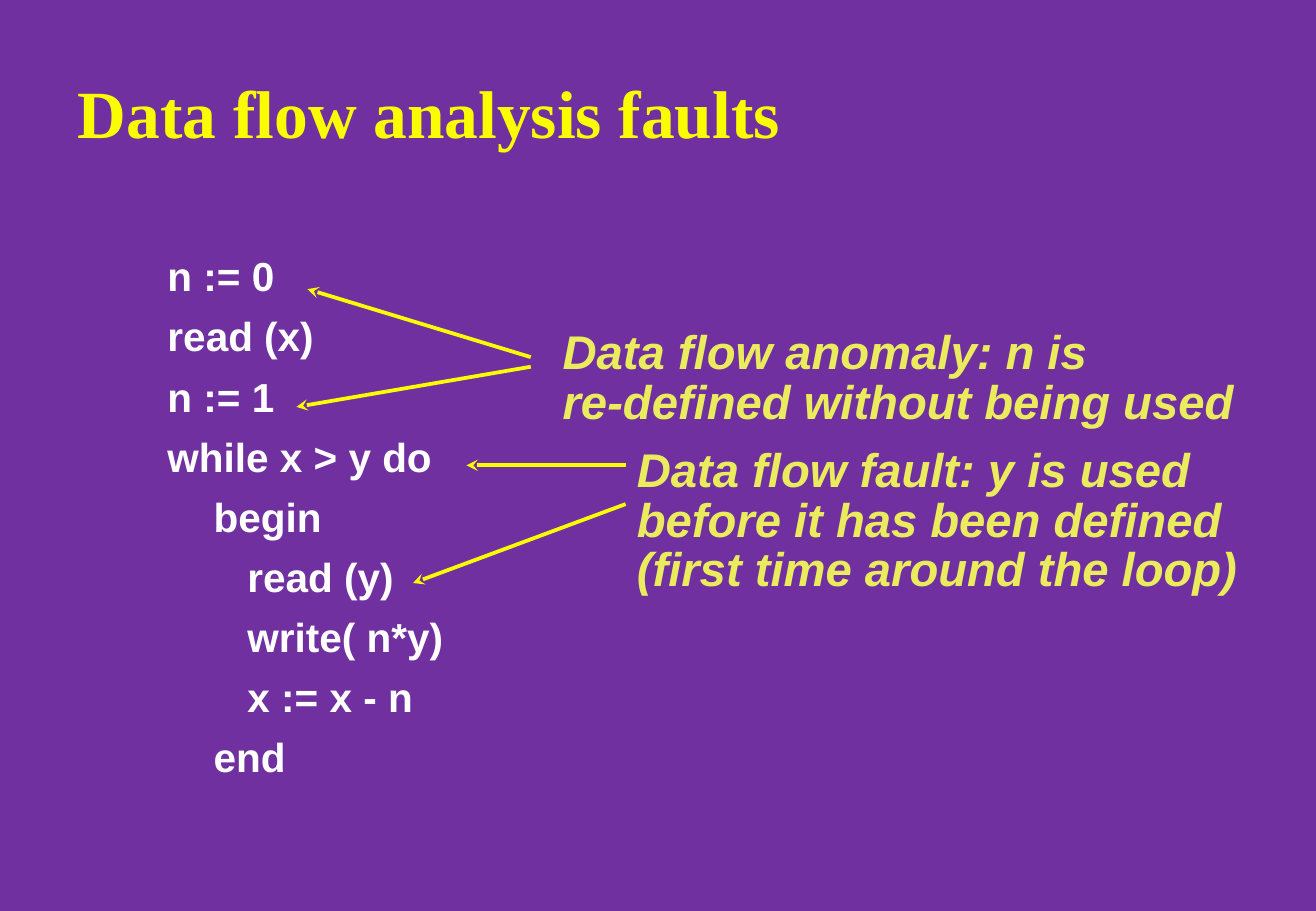
from pptx import Presentation
from pptx.util import Pt
from pptx.dml.color import RGBColor as Rgb
from pptx.enum import shapes, text as t
from pptx.oxml.ns import qn
from lxml import etree

hues = {"back": "7030A0", "head": "FAFD00", "code": "FFFFFF",
        "note": "EAEC5E", "arrow": "FAFD00"}

deck = Presentation()
deck.slide_width, deck.slide_height = Pt(780), Pt(540)
slide = deck.slides.add_slide(deck.slide_layouts[6])
slide.background.fill.solid()
slide.background.fill.fore_color.rgb = Rgb.from_string(hues["back"])


def write(lines, box, hue, size, font="Arial", italic=False, lead=1.0,
          gap=0, pad=(5, 2.2), anchor=t.MSO_ANCHOR.TOP):
    """Add a text box; each line is a pair of left indent and words."""
    frame = slide.shapes.add_textbox(*map(Pt, box)).text_frame
    frame.word_wrap = True
    frame.vertical_anchor = anchor
    frame.margin_left = frame.margin_right = Pt(pad[0])
    frame.margin_top = frame.margin_bottom = Pt(pad[1])
    for i, (indent, words) in enumerate(lines):
        para = frame.paragraphs[0] if i == 0 else frame.add_paragraph()
        para.line_spacing = lead
        para.space_before = Pt(gap if i else 0)
        para._p.get_or_add_pPr().set("marL", str(Pt(indent)))
        run = para.add_run()
        run.text = words
        run.font.name, run.font.size = font, Pt(size)
        run.font.bold, run.font.italic = True, italic
        run.font.color.rgb = Rgb.from_string(hues[hue])


# Title
write([(0, "Data flow analysis faults")], (39, 41.8, 663, 48), "head", 40,
      font="Times New Roman", pad=(7.2, 3.6), anchor=t.MSO_ANCHOR.MIDDLE)

# Program listing, indented by block and by statement in the loop
block, inner = 27.4, 47.4
code = [(0, "n := 0"), (0, "read (x)"), (0, "n := 1"),
        (0, "while x > y do"), (block, "begin"), (inner, "read (y)"),
        (inner, "write( n*y)"), (inner, "x := x - n"), (block, "end")]
write(code, (94.3, 150.5, 225.4, 330.5), "code", 24, lead=0.88, gap=10.3)

# Notes on the faults
notes = [
    ((328.5, 193.7, 409, 62.6),
     ["Data flow anomaly: n is", "re-defined without being used"]),
    ((372.5, 263.5, 370, 91.4),
     ["Data flow fault: y is used", "before it has been defined",
      "(first time around the loop)"]),
]
for box, lines in notes:
    write([(0, line) for line in lines], box, "note", 28,
          italic=True, lead=0.87)

# Arrows from the notes to the code
arrows = [(314.6, 217.4, 239.4, 241.2), (314.6, 211.7, 182.2, 171.4),
          (370.8, 275.8, 276.5, 275.8), (370.8, 298.8, 244.8, 345.6)]
arrows[0] = (314.6, 217.4, 175.7, 241.2)
for ends in arrows:
    arrow = slide.shapes.add_connector(shapes.MSO_CONNECTOR.STRAIGHT,
                                       *map(Pt, ends))
    arrow.line.width = Pt(2.25)
    arrow.line.color.rgb = Rgb.from_string(hues["arrow"])
    etree.SubElement(arrow.line._get_or_add_ln(), qn("a:tailEnd"),
                     type="stealth")
    etree.SubElement(arrow._element.spPr, qn("a:effectLst"))

deck.save("out.pptx")
